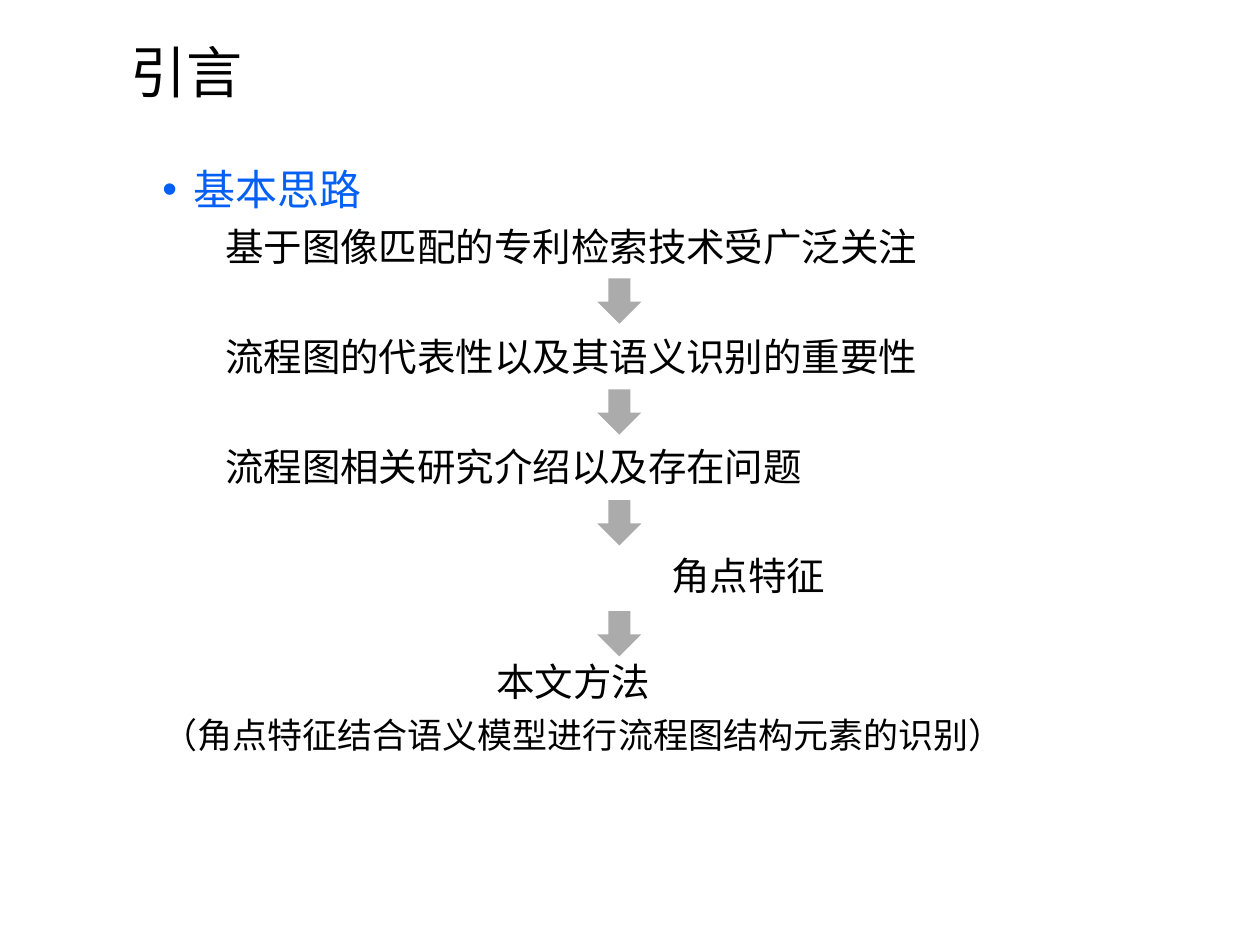
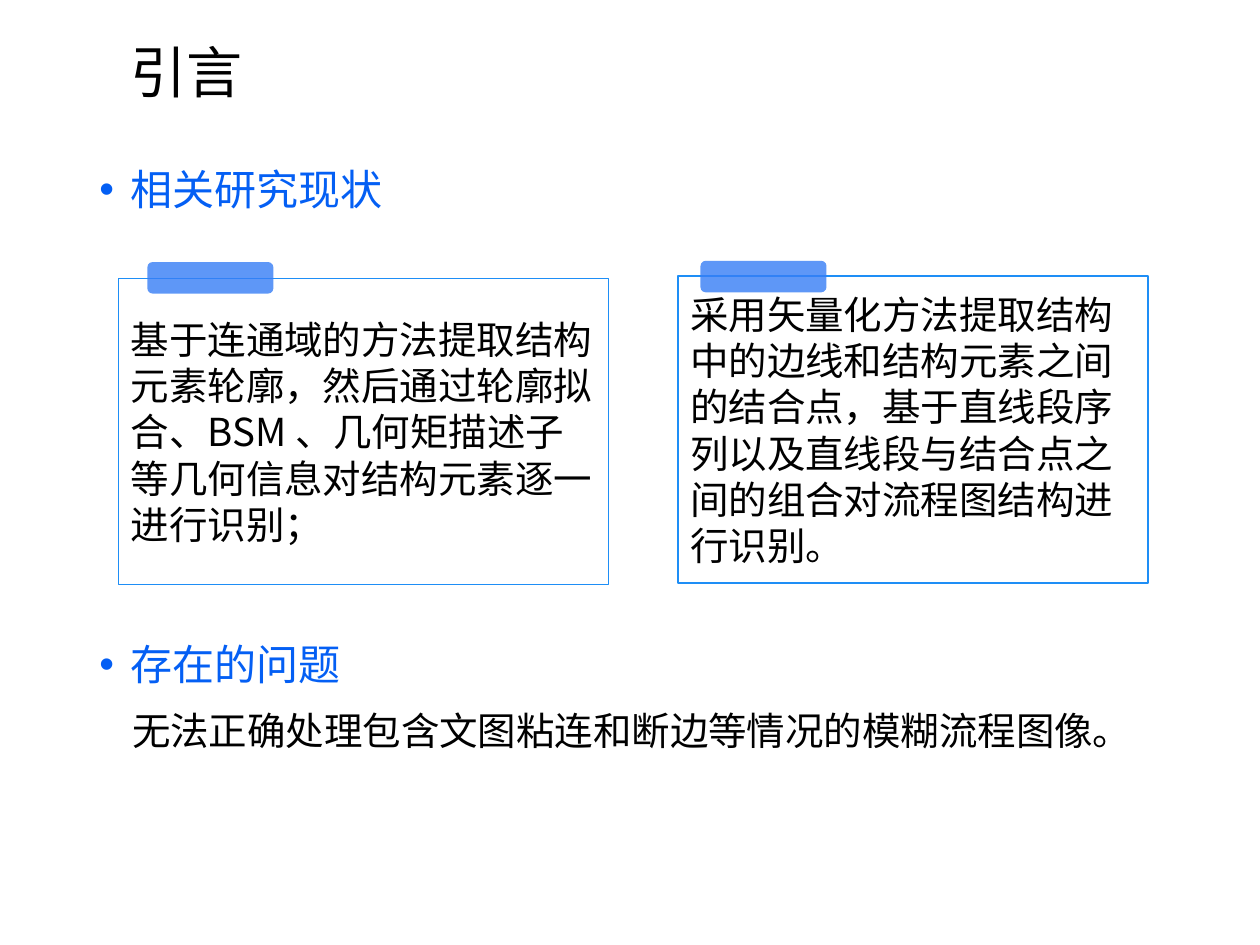
from lxml import etree
from pptx import Presentation
from pptx.dml.color import RGBColor
from pptx.enum.shapes import MSO_SHAPE
from pptx.enum.text import MSO_ANCHOR, PP_ALIGN
from pptx.oxml.ns import qn
from pptx.util import Inches, Pt

# Shared style
FONT = "Noto Sans CJK SC"
BLACK = RGBColor(0x00, 0x00, 0x00)
HEADING_BLUE = RGBColor(0x04, 0x5F, 0xF4)
FRAME_BLUE = RGBColor(0x1E, 0x8E, 0xF6)
TAB_BLUE = RGBColor(0x36, 0x7E, 0xF6)
ARROW_GREY = RGBColor(0xAB, 0xAB, 0xAB)

RECT = MSO_SHAPE.RECTANGLE
ROUND_RECT = MSO_SHAPE.ROUNDED_RECTANGLE
DOWN_ARROW = MSO_SHAPE.DOWN_ARROW
LEFT = PP_ALIGN.LEFT
TOP = MSO_ANCHOR.TOP
MIDDLE = MSO_ANCHOR.MIDDLE


def add_text(tf, text, size=22, color=BLACK, indent=0, before=0,
             line_spacing=None, bullet=False):
    """Write text as the next paragraph of a text frame."""
    p = tf.paragraphs[0]
    if p.runs:
        p = tf.add_paragraph()
    pPr = p._p.get_or_add_pPr()
    hang = 0.25 if bullet else 0
    pPr.set("marL", str(Inches(indent + hang)))
    pPr.set("indent", str(Inches(-hang)))
    if bullet:
        clr = etree.SubElement(pPr, qn("a:buClr"))
        etree.SubElement(clr, qn("a:srgbClr"), val=str(color))
        etree.SubElement(pPr, qn("a:buFont"), typeface="Arial")
        etree.SubElement(pPr, qn("a:buChar"), char="•")
    p.alignment = LEFT
    if before:
        p.space_before = Pt(before)
    if line_spacing:
        p.line_spacing = line_spacing
    r = p.add_run()
    r.text = text
    r.font.size = Pt(size)
    r.font.color.rgb = color
    r.font.name = FONT
    etree.SubElement(r._r.get_or_add_rPr(), qn("a:ea"), typeface=FONT)


def add_heading(tf, text, before=0, indent=0):
    add_text(tf, text, size=24, color=HEADING_BLUE, before=before,
             indent=indent, bullet=True)


def add_text_box(slide, left, top, width, height, anchor=TOP):
    box = slide.shapes.add_textbox(Inches(left), Inches(top),
                                   Inches(width), Inches(height))
    tf = box.text_frame
    tf.word_wrap = True
    tf.vertical_anchor = anchor
    return tf


def add_shape(slide, kind, left, top, width, height, fill=None, line=None):
    sp = slide.shapes.add_shape(kind, Inches(left), Inches(top),
                                Inches(width), Inches(height))
    sp.shadow.inherit = False
    if fill is None:
        sp.fill.background()
    else:
        sp.fill.solid()
        sp.fill.fore_color.rgb = fill
    if line is None:
        sp.line.fill.background()
    else:
        sp.line.color.rgb = line
        sp.line.width = Pt(1)
    return sp


def add_card(slide, left, top, width, height, tab_left, tab_top, text):
    """Outlined text card with a translucent tab over its top edge."""
    card = add_shape(slide, RECT, left, top, width, height, line=FRAME_BLUE)
    tf = card.text_frame
    tf.word_wrap = True
    tf.vertical_anchor = MIDDLE
    add_text(tf, text)
    tab = add_shape(slide, ROUND_RECT, tab_left, tab_top, 1, 0.25, fill=TAB_BLUE)
    clr = tab._element.spPr.find(qn("a:solidFill")).find(qn("a:srgbClr"))
    etree.SubElement(clr, qn("a:alpha"), val="80000")


def new_slide(prs, title):
    """Add a titled slide; return it with its body text frame."""
    slide = prs.slides.add_slide(prs.slide_layouts[6])
    tf = add_text_box(slide, 0.94, 0.22, 8.37, 0.76, anchor=MIDDLE)
    add_text(tf, title, size=32, line_spacing=0.9)
    return slide, add_text_box(slide, 0.69, 1.25, 8.63, 5.71)


def build_outline_slide(prs):
    slide, body = new_slide(prs, "引言")
    add_heading(body, "基本思路", indent=0.5)

    # Steps, spaced to leave room for the arrows
    steps = [
        ("基于图像匹配的专利检索技术受广泛关注", 1, 5),
        ("流程图的代表性以及其语义识别的重要性", 1, 36.4),
        ("流程图相关研究介绍以及存在问题", 1, 36.4),
        ("角点特征", 4.54, 36.4),
        ("本文方法", 3.15, 34),
    ]
    for text, indent, before in steps:
        add_text(body, text, indent=indent, before=before)
    add_text(body, "（角点特征结合语义模型进行流程图结构元素的识别）",
             size=20, indent=0.5, before=5)

    for i in range(len(steps) - 1):
        add_shape(slide, DOWN_ARROW, 4.74, 2.21 + 0.88 * i, 0.35, 0.36,
                  fill=ARROW_GREY)


def build_research_slide(prs):
    slide, body = new_slide(prs, "引言")
    add_heading(body, "相关研究现状")
    add_heading(body, "存在的问题", before=242.8)
    add_text(body, "无法正确处理包含文图粘连和断边等情况的模糊流程图像。",
             indent=0.26, before=10)

    # Two research approaches
    add_card(slide, 0.94, 2.21, 3.89, 2.43, 1.17, 2.08,
             "基于连通域的方法提取结构元素轮廓，然后通过轮廓拟合、BSM 、"
             "几何矩描述子等几何信息对结构元素逐一进行识别；")
    add_card(slide, 5.38, 2.19, 3.73, 2.44, 5.56, 2.07,
             "采用矢量化方法提取结构中的边线和结构元素之间的结合点，"
             "基于直线段序列以及直线段与结合点之间的组合对流程图结构进行识别。")


def main():
    prs = Presentation()
    prs.slide_width = Inches(10)
    prs.slide_height = Inches(7.5)
    build_outline_slide(prs)
    build_research_slide(prs)
    prs.save("out.pptx")


if __name__ == "__main__":
    main()
